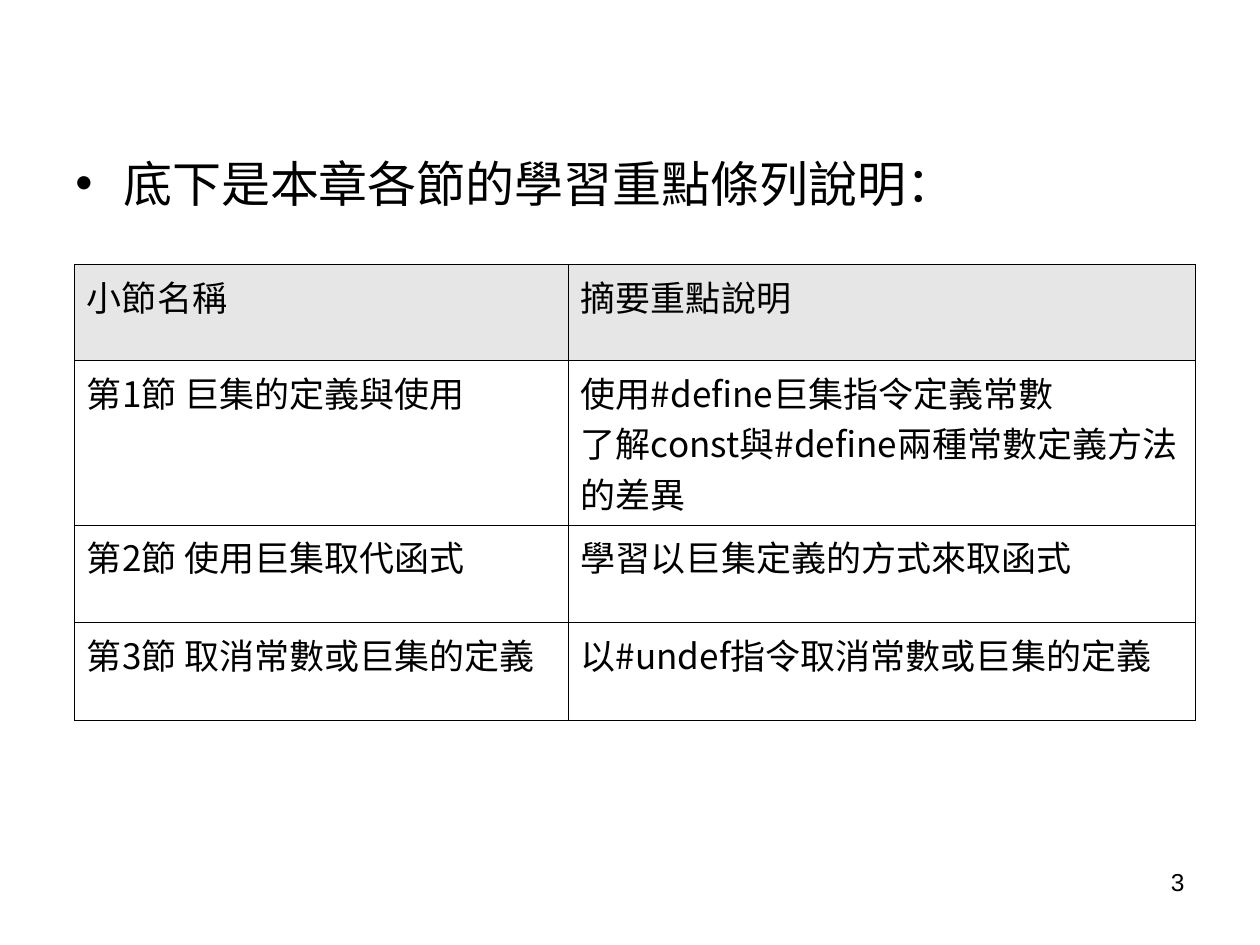
from lxml import etree
from pptx import Presentation
from pptx.dml.color import RGBColor
from pptx.enum.text import PP_ALIGN
from pptx.oxml.ns import qn
from pptx.util import Inches, Pt

RIGHT = PP_ALIGN.RIGHT
WIDTH, HEIGHT, GRID = 10, 7.5, 100
LATIN, CJK = "Arial", "Noto Sans CJK SC"
BLACK, GREY = "000000", "E6E6E6"
HEADER = ["小節名稱", "摘要重點說明"]
SECTIONS = [
    ["第1節 巨集的定義與使用", "使用#define巨集指令定義常數\n了解const與#define兩種常數定義方法的差異"],
    ["第2節 使用巨集取代函式", "學習以巨集定義的方式來取函式"],
    ["第3節 取消常數或巨集的定義", "以#undef指令取消常數或巨集的定義"],
]


def color(value):
    return RGBColor.from_string(value)


def col(n):
    return Inches(n * WIDTH / GRID)


def row(n):
    return Inches(n * HEIGHT / GRID)


def child(parent, tag, **attrs):
    return etree.SubElement(parent, qn(tag), attrs)


class SlideBuilder:
    def __init__(self, prs):
        self.slide = prs.slides.add_slide(prs.slide_layouts[6])
        self.ink = BLACK
        self.border = 0.45

    def add_run(self, p, text, size, font):
        r = p.add_run()
        r.text = text
        for name, value in {"size": Pt(size), "name": font}.items():
            setattr(r.font, name, value)
        r.font.color.rgb = color(self.ink)
        child(r._r.get_or_add_rPr(), "a:ea", typeface=CJK)

    def text(self, box, text, size, align=None, bullet=False):
        x, y, w, h = box
        sp = self.slide.shapes.add_textbox(col(x), row(y), col(w), row(h))
        tf = sp.text_frame
        tf.word_wrap = True
        p = tf.paragraphs[0]
        p.alignment = align
        if bullet:
            pPr = p._p.get_or_add_pPr()
            indent = Inches(0.38)
            pPr.set("marL", str(indent))
            pPr.set("indent", str(-indent))
            child(pPr, "a:buFont", typeface=LATIN)
            child(pPr, "a:buChar", char="•")
        self.add_run(p, text, size, LATIN)

    def outline(self, cell):
        tcPr = cell._tc.get_or_add_tcPr()
        for side in "LRTB":
            ln = child(tcPr, f"a:ln{side}", w=str(Pt(self.border)))
            child(child(ln, "a:solidFill"), "a:srgbClr", val=self.ink)

    def table(self, x, y, widths, heights, rows, size):
        frame = self.slide.shapes.add_table(
            len(rows), len(widths), col(x), row(y), col(sum(widths)), row(sum(heights)))
        table = frame.table
        for name in ("first_row", "horz_banding"):
            setattr(table, name, False)
        for column, width in zip(table.columns, widths):
            column.width = col(width)
        for i, (values, height) in enumerate(zip(rows, heights)):
            table.rows[i].height = row(height)
            for j, value in enumerate(values):
                cell = table.cell(i, j)
                self.outline(cell)
                if i == 0:
                    cell.fill.solid()
                    cell.fill.fore_color.rgb = color(GREY)
                else:
                    cell.fill.background()
                tf = cell.text_frame
                for k, line in enumerate(value.split("\n")):
                    p = tf.add_paragraph() if k else tf.paragraphs[0]
                    self.add_run(p, line, size, CJK)


def main():
    prs = Presentation()
    prs.slide_width, prs.slide_height = Inches(WIDTH), Inches(HEIGHT)
    s = SlideBuilder(prs)
    s.text((5, 15.6, 86.7, 73.33), "底下是本章各節的學習重點條列說明：", 28, bullet=True)
    s.table(5.9, 28, [39.2, 49.8], [10.1, 17.45, 10.3, 10.4], [HEADER, *SECTIONS], 20)
    s.text((71.7, 91.07, 23.3, 6.93), "3", 14, align=RIGHT)
    prs.save("out.pptx")


if __name__ == "__main__":
    main()
